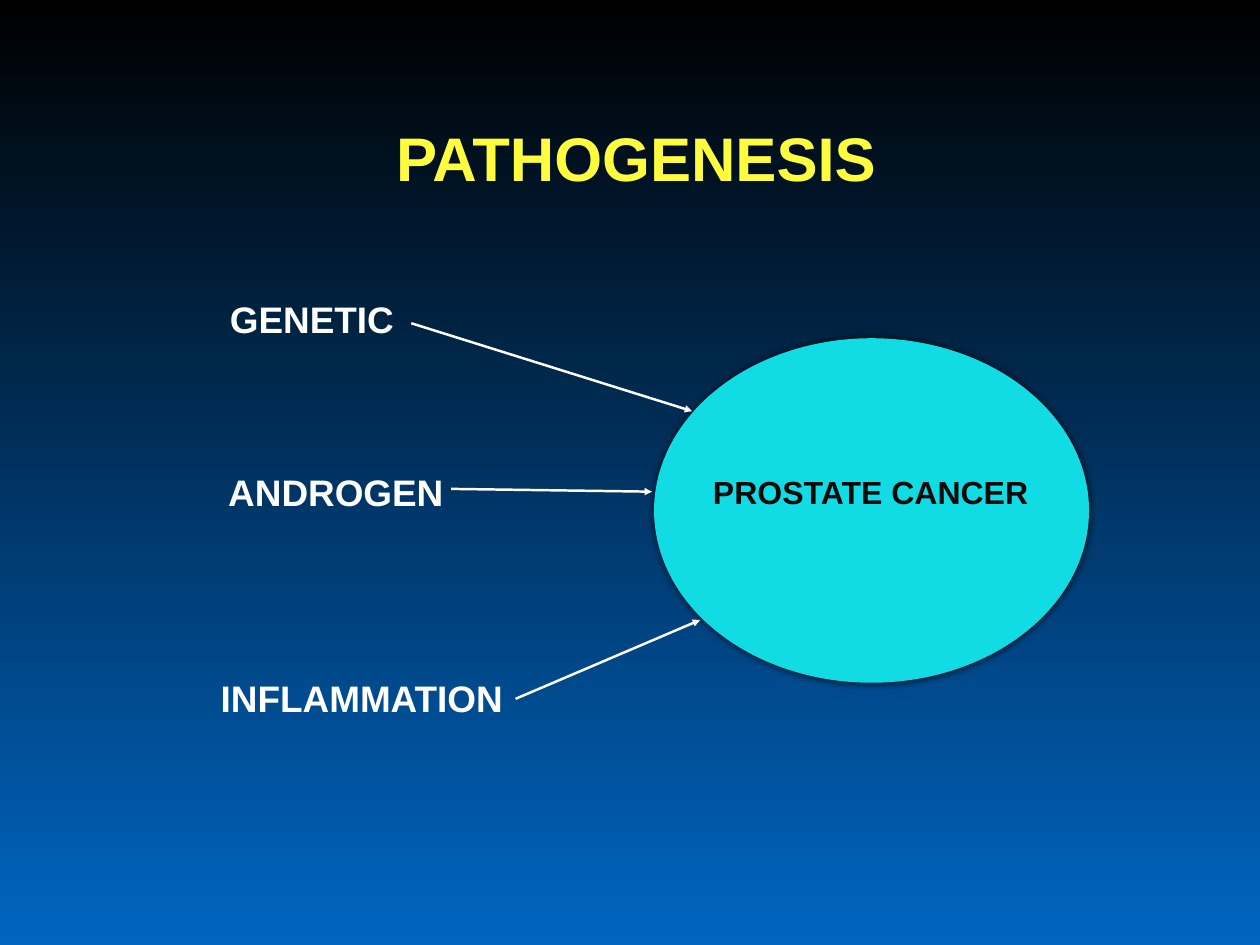
from dataclasses import dataclass

from lxml.etree import SubElement
from pptx import Presentation
from pptx.dml.color import RGBColor
from pptx.enum.shapes import MSO_CONNECTOR, MSO_SHAPE
from pptx.enum.text import MSO_ANCHOR, MSO_AUTO_SIZE, PP_ALIGN
from pptx.oxml.ns import qn
from pptx.shapes.base import BaseShape
from pptx.slide import Slide
from pptx.util import Cm, Pt


@dataclass(frozen=True)
class Theme:
    font: str = "Arial"
    top: str = "000000"
    bottom: str = "0065C1"
    title: str = "FFFC3F"
    disease: str = "11DCE3"
    dark: str = "0A0A0A"
    light: str = "FFFFFF"
    shadow: str = "000000"
    title_size: int = 50
    factor_size: int = 30
    disease_size: int = 26
    arrow_width: int = 2


@dataclass(frozen=True)
class Factor:
    """A cause of the disease and its arrow, in centimetres."""
    name: str
    left: float
    top: float
    width: float
    start: tuple[float, float]
    end: tuple[float, float]


THEME = Theme()
FACTOR_HEIGHT = 1.55
FACTORS = [
    Factor("GENETIC", 6.43, 8.36, 5.03, (11.79, 9.27), (19.84, 11.79)),
    Factor("ANDROGEN", 6.38, 13.34, 6.5, (12.93, 14.02), (18.69, 14.1)),
    Factor("INFLAMMATION", 6.17, 19.23, 8.41, (14.78, 20.04), (20.07, 17.78)),
]


def rgb(color: str) -> RGBColor:
    return RGBColor.from_string(color)


def write(sp: BaseShape, text: str, *, size: int, color: str,
          wrap: bool = False, fit: bool = True) -> None:
    tf = sp.text_frame
    tf.auto_size = MSO_AUTO_SIZE.SHAPE_TO_FIT_TEXT if fit else MSO_AUTO_SIZE.NONE
    tf.word_wrap = wrap
    tf.vertical_anchor = MSO_ANCHOR.MIDDLE
    tf.margin_left = tf.margin_right = tf.margin_top = tf.margin_bottom = Cm(0.15)
    p = tf.paragraphs[0]
    p.alignment = PP_ALIGN.CENTER
    r = p.add_run()
    r.text = text
    r.font.name = THEME.font
    r.font.size = Pt(size)
    r.font.bold = True
    r.font.color.rgb = rgb(color)


def paint_background(s: Slide) -> None:
    fill = s.background.fill
    fill.gradient()
    fill.gradient_angle = 270
    for stop, color in zip(fill.gradient_stops, (THEME.top, THEME.bottom)):
        stop.color.rgb = rgb(color)


def add_title(s: Slide, text: str) -> None:
    sp = s.shapes.title
    sp.left, sp.top, sp.width, sp.height = Cm(4.29), Cm(1.88), Cm(27.89), Cm(5.23)
    write(sp, text, size=THEME.title_size, color=THEME.title, wrap=True, fit=False)


def add_disease(s: Slide, text: str) -> None:
    sp = s.shapes.add_shape(MSO_SHAPE.OVAL, Cm(18.75), Cm(9.7), Cm(12.47), Cm(9.88))
    sp.fill.solid()
    sp.fill.fore_color.rgb = rgb(THEME.disease)
    sp.line.fill.background()
    effects = SubElement(sp._element.spPr, qn("a:effectLst"))
    shadow = SubElement(effects, qn("a:outerShdw"), blurRad=str(Pt(6)), dist="0",
                        dir="18900000", rotWithShape="0")
    color = SubElement(shadow, qn("a:srgbClr"), val=THEME.shadow)
    SubElement(color, qn("a:alpha"), val="80000")
    label = s.shapes.add_textbox(Cm(20.29), Cm(13.41), Cm(9.35), Cm(1.37))
    write(label, text, size=THEME.disease_size, color=THEME.dark)


def add_factor(s: Slide, factor: Factor) -> None:
    label = s.shapes.add_textbox(Cm(factor.left), Cm(factor.top),
                                 Cm(factor.width), Cm(FACTOR_HEIGHT))
    write(label, factor.name, size=THEME.factor_size, color=THEME.light)
    ends = (Cm(v) for v in factor.start + factor.end)
    arrow = s.shapes.add_connector(MSO_CONNECTOR.STRAIGHT, *ends)
    arrow.line.color.rgb = rgb(THEME.light)
    arrow.line.width = Pt(THEME.arrow_width)
    SubElement(arrow.line._get_or_add_ln(), qn("a:tailEnd"), type="triangle")
    SubElement(arrow._element.spPr, qn("a:effectLst"))


def main() -> None:
    prs = Presentation()
    prs.slide_width, prs.slide_height = Cm(36.12), Cm(27.1)
    s = prs.slides.add_slide(prs.slide_layouts[5])
    paint_background(s)
    add_title(s, "PATHOGENESIS")
    add_disease(s, "PROSTATE CANCER")
    for factor in FACTORS:
        add_factor(s, factor)
    prs.save("out.pptx")


if __name__ == "__main__":
    main()
